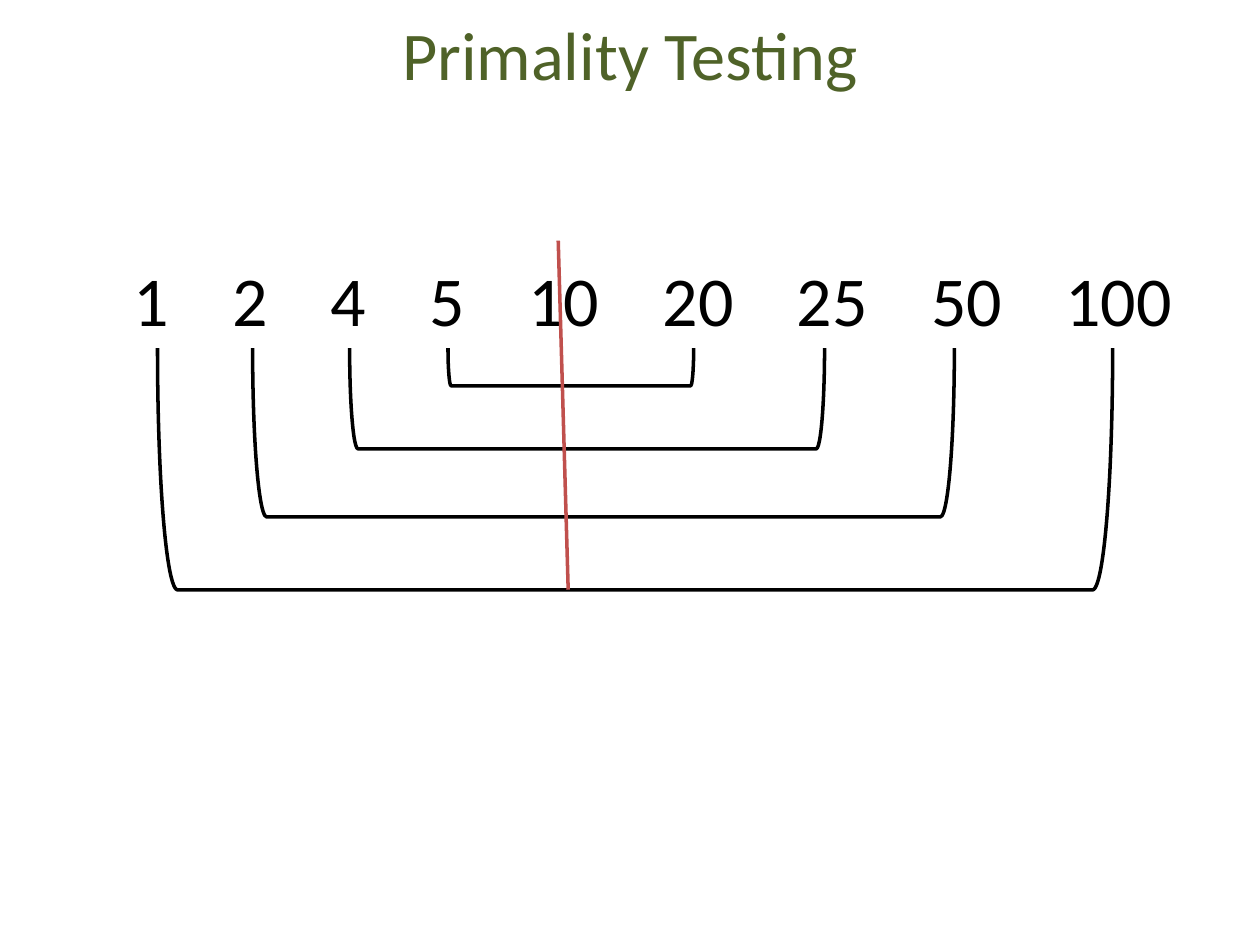
from pptx import Presentation
from pptx.dml.color import RGBColor
from pptx.enum.shapes import MSO_CONNECTOR, MSO_SHAPE
from pptx.enum.text import MSO_AUTO_SIZE, PP_ALIGN
from pptx.oxml.ns import qn
from pptx.util import Pt
from lxml.etree import SubElement

OLIVE = RGBColor(0x4F, 0x62, 0x28)
BLACK = RGBColor(0, 0, 0)
RED = RGBColor(0xC0, 0x50, 0x4D)

FONT = "Calibri"
LINE_WIDTH = 2
DIVISORS = ["1", "2", "4", "5", "10", "20", "25", "50", "100"]
DIGIT_WIDTH = 20.28
DIVISOR_GAP = 36.16
PAIR_TOP = 198.9
PAIRS = [
    (90, 635.8, 138.2),
    (144.4, 545.4, 96.5),
    (199.8, 471.2, 57.6),
    (256, 396.4, 21.6),
]


def add_text(page, left, top, width, height, text, size, color):
    box = page.shapes.add_textbox(Pt(left), Pt(top), Pt(width), Pt(height))
    box.text_frame.word_wrap = True
    para = box.text_frame.paragraphs[0]
    para.text = text
    font = para.runs[0].font
    font.name = FONT
    font.size = Pt(size)
    font.color.rgb = color
    return box


def add_title(page, left, top, width, height):
    box = add_text(page, left, top, width, height, "Primality Testing", 39, OLIVE)
    box.text_frame.paragraphs[0].alignment = PP_ALIGN.CENTER


def add_divisors(page, left, top, width, height):
    box = add_text(page, left, top, width, height, "\t".join(DIVISORS), 40, BLACK)
    box.text_frame.auto_size = MSO_AUTO_SIZE.SHAPE_TO_FIT_TEXT
    properties = box.text_frame.paragraphs[0]._p.get_or_add_pPr()
    tab_list = SubElement(properties, qn("a:tabLst"))
    position = 0
    for divisor in DIVISORS[:-1]:
        position += len(divisor) * DIGIT_WIDTH + DIVISOR_GAP
        SubElement(tab_list, qn("a:tab"), pos=str(int(Pt(position))), algn="l")


def add_pair_bracket(page, left, top, width, height):
    middle_x, middle_y = left + width / 2, top + height / 2
    bracket = page.shapes.add_shape(
        MSO_SHAPE.LEFT_BRACKET,
        Pt(middle_x - height / 2), Pt(middle_y - width / 2), Pt(height), Pt(width),
    )
    bracket.rotation = 270
    bracket.shadow.inherit = False
    bracket.fill.background()
    bracket.line.color.rgb = BLACK
    bracket.line.width = Pt(LINE_WIDTH)


def add_root_line(page, left, top, width, height):
    line = page.shapes.add_connector(
        MSO_CONNECTOR.STRAIGHT,
        Pt(left), Pt(top), Pt(left + width), Pt(top + height),
    )
    line.line.color.rgb = RED
    line.line.width = Pt(LINE_WIDTH)
    SubElement(line._element.spPr, qn("a:effectLst"))


def main():
    deck = Presentation()
    deck.slide_width, deck.slide_height = Pt(720), Pt(540)
    page = deck.slides.add_slide(deck.slide_layouts[6])
    add_title(page, 36, 3.6, 648, 90)
    add_divisors(page, 69.1, 143.3, 624.2, 55.4)
    for left, right, depth in PAIRS:
        add_pair_bracket(page, left, PAIR_TOP, right - left, depth)
    add_root_line(page, 319, 137.5, 5.7, 199.5)
    deck.save("out.pptx")


if __name__ == "__main__":
    main()
